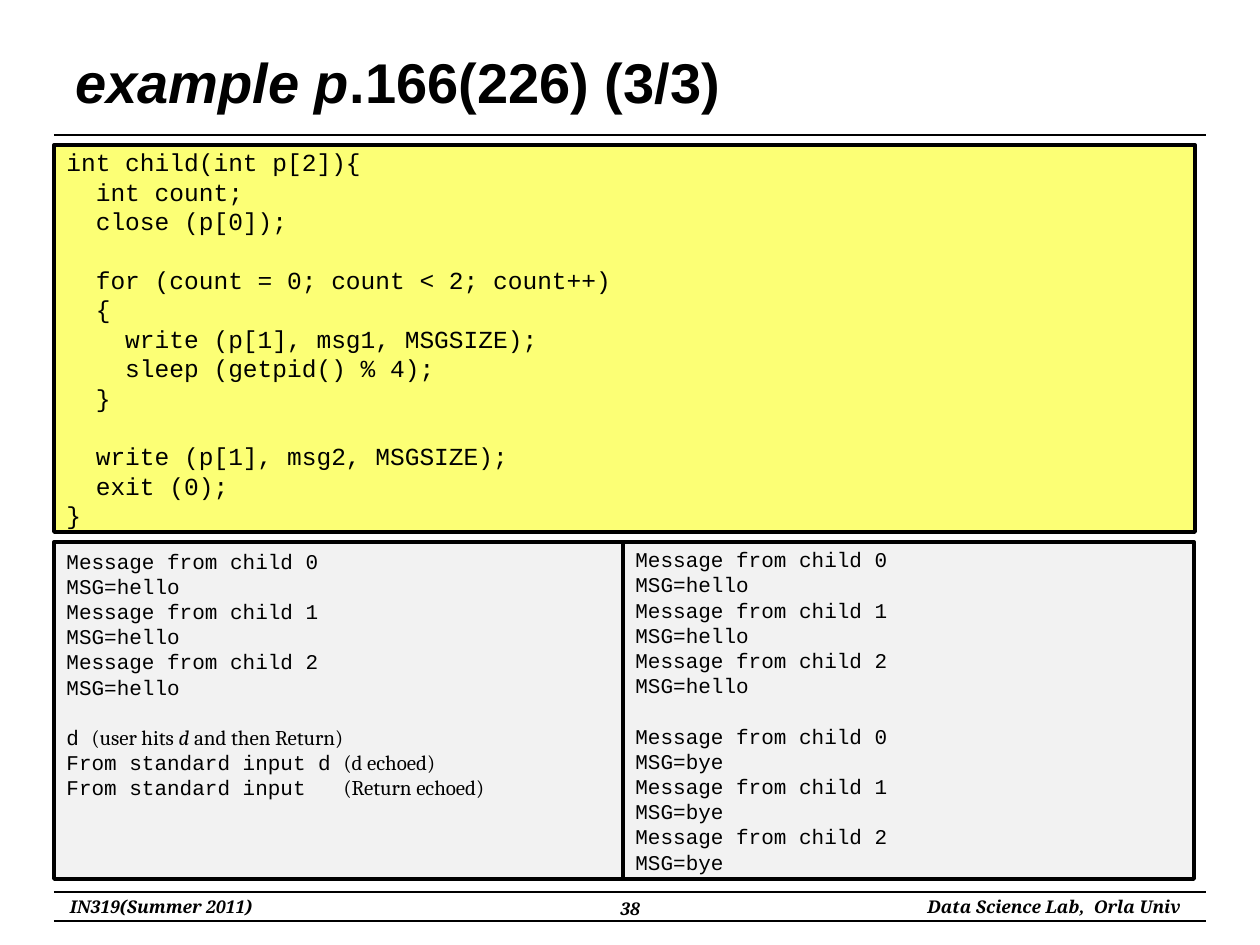
from pptx import Presentation
from pptx.dml.color import RGBColor
from pptx.enum.shapes import MSO_CONNECTOR, MSO_SHAPE
from pptx.enum.text import MSO_ANCHOR, PP_ALIGN
from pptx.oxml.ns import qn
from pptx.util import Emu, Pt
from lxml.etree import SubElement

COLORS = {"ink": "000000", "code": "FCFF75", "output": "F2F2F2"}
MONO, PROSE, FOOT = "Courier New", "Cambria", "Noto Serif"

# Content: a line is a list of (text, font, italic) runs; None is a gap of one line
TITLE = [("example p", "Arial", True), (".166(226) (3/3)", "Arial", False)]
CODE = """int child(int p[2]){
  int count;
  close (p[0]);

  for (count = 0; count < 2; count++)
  {
    write (p[1], msg1, MSGSIZE);
    sleep (getpid() % 4);
  }

  write (p[1], msg2, MSGSIZE);
  exit (0);
}"""


def mono_lines(lines):
    return [[(line, MONO, False)] if line else None for line in lines]


def messages(word):
    return mono_lines(line for child in range(3)
                      for line in (f"Message from child {child}", f"MSG={word}"))


TYPED = [
    [("d ", MONO, False), ("(user hits ", PROSE, False), ("d", PROSE, True),
     (" and then Return)", PROSE, False)],
    [("From standard input d ", MONO, False), ("(d echoed)", PROSE, False)],
    [("From standard input   ", MONO, False), ("(Return echoed)", PROSE, False)],
]

# Left, top, width, height in px; fill, text size, anchor, lines
PANELS = [
    ((54, 145, 1141, 387), "code", 14, MSO_ANCHOR.MIDDLE,
     mono_lines(CODE.split("\n"))),
    ((54, 542, 571, 337), "output", 12, MSO_ANCHOR.TOP,
     messages("hello") + [None] + TYPED),
    ((623, 542, 571, 337), "output", 12, MSO_ANCHOR.MIDDLE,
     messages("hello") + [None] + messages("bye")),
]
FOOTERS = [
    ((52, 890, 218, 34), "IN319(Summer 2011)", PP_ALIGN.CENTER),
    ((483, 892, 294, 34), "38", PP_ALIGN.CENTER),
    ((902, 890, 291, 34), "Data Science Lab,  Orla Univ", PP_ALIGN.RIGHT),
]
RULE_LEFT, RULE_RIGHT = 54, 1206
RULE_TOPS = [135, 892, 921]
LINE_PITCH = 1.2


def px(value):
    return Emu(round(value * 914400 / 126))


def color(key):
    return RGBColor.from_string(COLORS[key])


def write(frame, lines, size, anchor, align=PP_ALIGN.LEFT, bold=False, wrap=False):
    frame.word_wrap = wrap
    frame.vertical_anchor = anchor
    paragraph, gap = frame.paragraphs[0], 0
    for index, line in enumerate(lines):
        if line is None:
            gap = size * LINE_PITCH
            continue
        if index:
            paragraph = frame.add_paragraph()
        paragraph.alignment = align
        paragraph.space_before, gap = Pt(gap), 0
        paragraph.font.size = Pt(size)
        paragraph.font.bold = bold
        paragraph.font.color.rgb = color("ink")
        same_font = len({name for _, name, _ in line}) == 1
        if same_font:
            paragraph.font.name = line[0][1]
        for text, name, italic in line:
            run = paragraph.add_run()
            run.text = text
            run.font.italic = italic
            run.font.size = Pt(size)
            run.font.bold = bold
            run.font.color.rgb = color("ink")
            run.font.name = name


presentation = Presentation()
presentation.slide_width, presentation.slide_height = px(1260), px(945)
slide = presentation.slides.add_slide(presentation.slide_layouts[6])
shapes = slide.shapes

# Rules under the title and around the footer
for top in RULE_TOPS:
    rule = shapes.add_connector(MSO_CONNECTOR.STRAIGHT, px(RULE_LEFT), px(top),
                                px(RULE_RIGHT), px(top))
    rule.line.color.rgb = color("ink")
    rule.line.width = Pt(0.75)
    SubElement(rule._element.spPr, qn("a:effectLst"))

# Title
title = shapes.add_textbox(*map(px, (63, 38, 1134, 87)))
write(title.text_frame, [TITLE], 32, MSO_ANCHOR.MIDDLE, bold=True, wrap=True)

# Code and program output
for box, fill, size, anchor, lines in PANELS:
    panel = shapes.add_shape(MSO_SHAPE.RECTANGLE, *map(px, box))
    panel.shadow.inherit = False
    panel.fill.solid()
    panel.fill.fore_color.rgb = color(fill)
    panel.line.color.rgb = color("ink")
    panel.line.width = Pt(2.25)
    write(panel.text_frame, lines, size, anchor)

# Footer
for box, text, align in FOOTERS:
    footer = shapes.add_textbox(*map(px, box))
    write(footer.text_frame, [[(text, FOOT, True)]], 10, MSO_ANCHOR.TOP, align,
          bold=True, wrap=True)

presentation.save("out.pptx")
